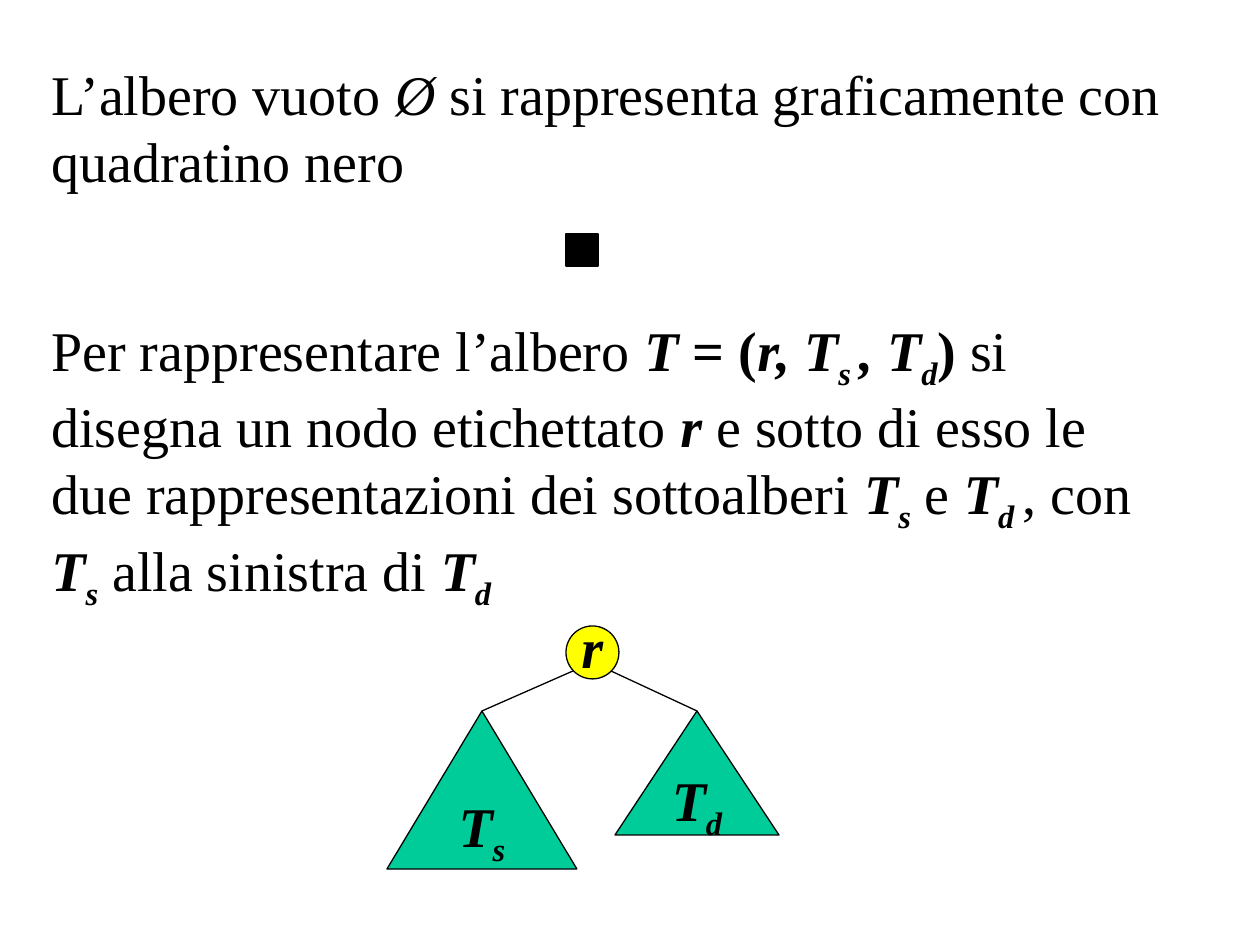
"""Build a slide on drawing the empty tree and a binary tree with two subtrees."""
from pptx import Presentation
from pptx.dml.color import RGBColor
from pptx.enum.shapes import MSO_CONNECTOR, MSO_SHAPE
from pptx.enum.text import MSO_ANCHOR, PP_ALIGN
from pptx.oxml.ns import qn
from pptx.util import Emu, Pt
from lxml.etree import SubElement

SCALE = 914400 / 126


def color(value):
    return RGBColor.from_string(value)


def add_runs(paragraph, runs):
    for text, style in runs:
        run = paragraph.add_run()
        run.text = text
        run.font.name = "Times New Roman"
        run.font.size = Pt(32)
        run.font.bold = "b" in style
        run.font.italic = "i" in style
        run.font.color.rgb = color("000000")
        if "s" in style:
            run.font._element.set("baseline", "-25000")


presentation = Presentation()
presentation.slide_width = Emu(round(1260 * SCALE))
presentation.slide_height = Emu(round(945 * SCALE))
slide = presentation.slides.add_slide(presentation.slide_layouts[6])

left_subtree = [("T", "bi"), ("s", "bis")]
right_subtree = [("T", "bi"), ("d", "bis")]
empty_tree_text = [
    ("L’albero vuoto ", ""), ("Ø", "i"),
    (" si rappresenta graficamente con quadratino nero", ""),
]
tree_text = [
    ("Per rappresentare l’albero ", ""), ("T ", "bi"), ("= (", "b"),
    ("r, T", "bi"), ("s ", "bis"), (", T", "bi"), ("d", "bis"), (") ", "b"),
    ("si disegna un nodo etichettato ", ""), ("r", "bi"),
    (" e sotto di esso le due rappresentazioni dei sottoalberi ", ""),
    *left_subtree, (" e ", ""), ("T", "bi"), ("d ", "bis"), (", con ", ""),
    *left_subtree, (" alla sinistra di ", ""), *right_subtree,
]

for box, runs in [
    ((39, 53, 1176, 149), empty_tree_text),
    ((39, 309, 1147, 285), tree_text),
]:
    text_box = slide.shapes.add_textbox(*[Emu(round(value * SCALE)) for value in box])
    text_box.text_frame.word_wrap = True
    paragraph = text_box.text_frame.paragraphs[0]
    paragraph.space_before = Pt(4)
    add_runs(paragraph, runs)

nodes = []
for kind, box, fill, runs, spacing in [
    (MSO_SHAPE.RECTANGLE, (566, 234, 32, 32), "000000", [], 1.0),
    (MSO_SHAPE.OVAL, (566, 626, 53, 53), "FFFF00", [("r", "bi")], 0.8),
    (MSO_SHAPE.ISOSCELES_TRIANGLE, (387, 711, 190, 158), "00CC99", left_subtree, 1.0),
    (MSO_SHAPE.ISOSCELES_TRIANGLE, (615, 711, 164, 124), "00CC99", right_subtree, 1.0),
]:
    shape = slide.shapes.add_shape(kind, *[Emu(round(value * SCALE)) for value in box])
    shape.shadow.inherit = False
    shape.fill.solid()
    shape.fill.fore_color.rgb = color(fill)
    shape.line.color.rgb = color("000000")
    shape.line.width = Pt(0.75)
    shape.text_frame.word_wrap = False
    shape.text_frame.vertical_anchor = MSO_ANCHOR.MIDDLE
    paragraph = shape.text_frame.paragraphs[0]
    paragraph.alignment = PP_ALIGN.CENTER
    paragraph.line_spacing = spacing
    add_runs(paragraph, runs)
    nodes.append(shape)

for start_x, end_x, subtree in [(573, 482, nodes[2]), (611, 697, nodes[3])]:
    ends = [Emu(round(value * SCALE)) for value in (start_x, 671, end_x, 711)]
    branch = slide.shapes.add_connector(MSO_CONNECTOR.STRAIGHT, *ends)
    branch.end_connect(subtree, 0)
    branch.line.color.rgb = color("000000")
    branch.line.width = Pt(0.75)
    SubElement(branch._element.spPr, qn("a:effectLst"))

presentation.save("out.pptx")
